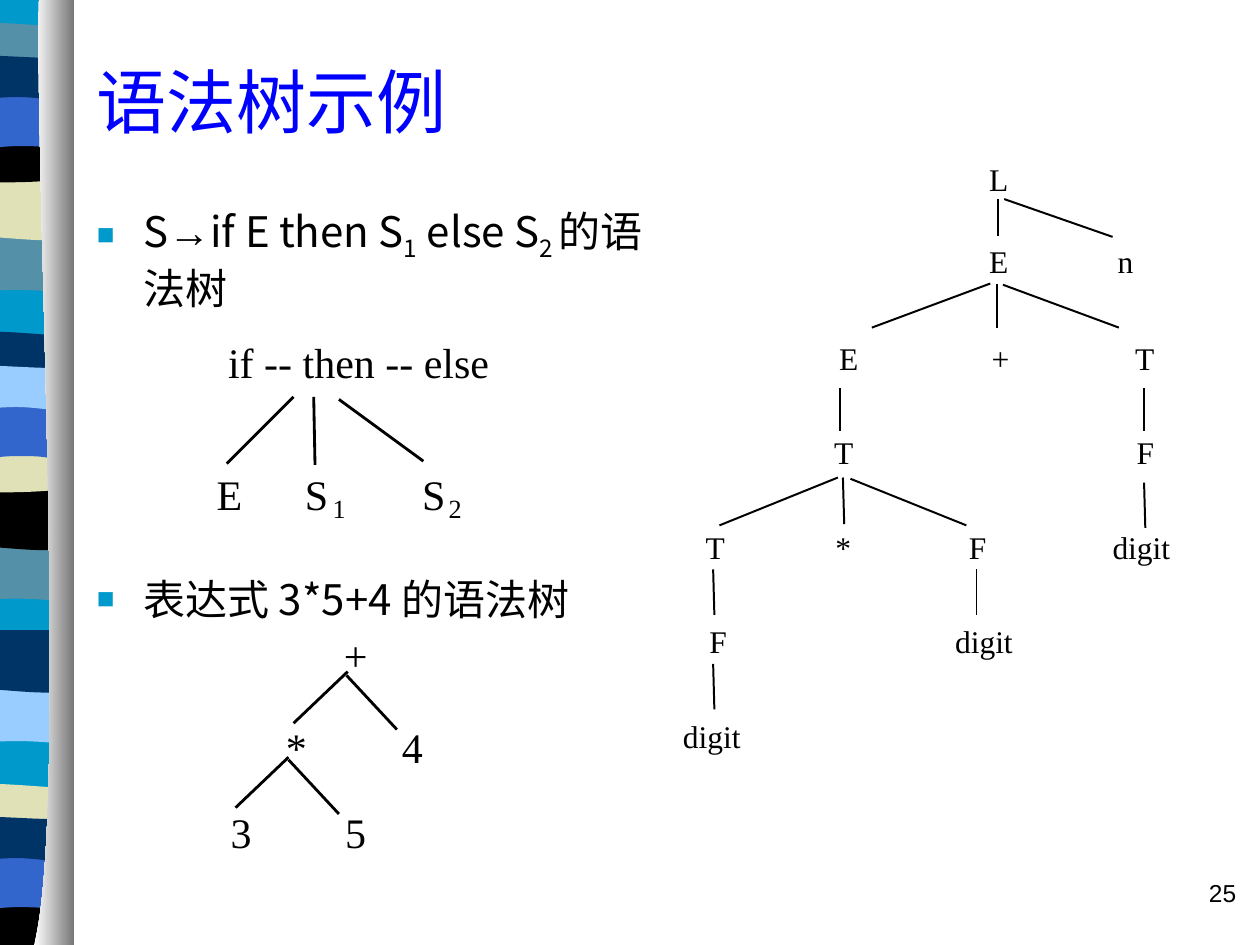
from lxml.etree import SubElement
from pptx import Presentation
from pptx.dml.color import RGBColor
from pptx.enum.shapes import MSO_CONNECTOR as Link
from pptx.enum.text import MSO_ANCHOR as Anchor, PP_ALIGN as Align
from pptx.oxml.ns import qn
from pptx.util import Emu, Pt

PX = 9144  # 100 px to the inch
BLACK = RGBColor(0x00, 0x00, 0x00)
WHITE = RGBColor(0xFF, 0xFF, 0xFF)
GREY = RGBColor(0x76, 0x76, 0x76)
BLUE = RGBColor(0x00, 0x00, 0xFF)
CYAN = RGBColor(0x00, 0x99, 0xCC)
TEAL = RGBColor(0x54, 0x90, 0xA8)
SAND = RGBColor(0xE1, 0xE1, 0xB7)
ROYAL = RGBColor(0x33, 0x66, 0xCC)
NAVY = RGBColor(0x00, 0x33, 0x66)
SKY = RGBColor(0x99, 0xCC, 0xFF)
SERIF, SANS, ARIAL = "Times New Roman", "Noto Sans CJK SC", "Arial"

prs = Presentation()
prs.slide_width, prs.slide_height = Emu(1000 * PX), Emu(750 * PX)
slide = prs.slides.add_slide(prs.slide_layouts[6])
shapes = slide.shapes


def trace(left, top, start, steps):
    """Draw a closed outline; a step of two numbers is a line, of six a Bezier curve."""
    pts = [start] + [s[i:i + 2] for s in steps for i in range(0, len(s), 2)]
    pts = [((left + x) * PX, (top + y) * PX) for x, y in pts]
    pen = shapes.build_freeform(*pts[0], scale=1.0)
    pen.add_line_segments(pts[1:], close=True)
    shape = pen.convert_to_shape()
    shape.shadow.inherit = False
    shape.line.fill.background()
    legs = iter(list(shape._element.iter(qn("a:lnTo"))))
    for step in steps:
        leg = next(legs)
        if len(step) == 6:
            leg.tag = qn("a:cubicBezTo")
            for _ in range(2):
                extra = next(legs)
                leg.append(extra[0])
                extra.getparent().remove(extra)
    return shape


def write(x, y, w, h, runs, size, color=BLACK, align=Align.LEFT, pad=(10, 5)):
    """Add a text box; each run is (text, font, baseline percent)."""
    box = shapes.add_textbox(x * PX, y * PX, w * PX, h * PX)
    frame = box.text_frame
    frame.word_wrap = True
    frame.margin_left = frame.margin_right = pad[0] * PX
    frame.margin_top = frame.margin_bottom = pad[1] * PX
    para = frame.paragraphs[0]
    para.alignment = align
    for text, name, base in runs:
        run = para.add_run()
        run.text = text
        run.font.name, run.font.size = name, Pt(size)
        run.font.color.rgb = color
        props = run._r.get_or_add_rPr()
        SubElement(props, qn("a:ea"), typeface=SANS)
        if base:
            props.set("baseline", str(base * 1000))
    return frame


# Striped ribbon: each kind of band starts at its top right corner
kinds = {
    "base": [(108, 748), (0, 748), (0, 0)],
    "wave": [(108, 47), (33, 38, 18, 54, 0, 47), (0, 0)],
    "dip": [(108, 47), (90, 55, 33, 42, 0, 47), (0, 0)],
    "crest": [(108, 24), (90, 28, 18, 28, 0, 24), (0, 0),
              (7, -5, 23, -4, 41, -4), (59, -4, 94, -1, 108, 0)],
    "sag": [(108, 33), (90, 38, 18, 38, 0, 33), (0, 0), (66, 5, 85, 0, 108, 0)],
    "foot": [(108, 38), (0, 38), (0, 0), (66, 5, 85, 0, 108, 0)],
    "arch": [(108, 47), (91, 41, 84, 41, 66, 41), (48, 41, 16, 47, 0, 47), (0, 0)],
    "roll": [(108, 31), (101, 36, 84, 31, 66, 31), (48, 31, 11, 36, 0, 31), (0, 0),
             (15, -5, 73, 0, 91, 0), (109, 0, 104, 0, 108, 0)],
}
bands = [
    ("base", -52, 0, CYAN),
    ("wave", -52, 186, TEAL), ("dip", -52, 141, SAND), ("crest", -52, 22, TEAL),
    ("sag", -52, 108, BLACK), ("arch", -52, 75, ROYAL), ("roll", -52, 46, NAVY),
    ("wave", -53, 431, TEAL), ("dip", -53, 387, BLACK), ("crest", -53, 267, NAVY),
    ("sag", -53, 354, SAND), ("arch", -53, 321, ROYAL), ("roll", -53, 292, SKY),
    ("wave", -52, 544, SKY), ("dip", -52, 500, NAVY), ("crest", -53, 626, SAND),
    ("foot", -53, 712, BLACK), ("arch", -53, 679, ROYAL), ("roll", -53, 650, NAVY),
]
for kind, left, top, color in bands:
    band = trace(left, top, (108, 0), kinds[kind])
    band.fill.solid()
    band.fill.fore_color.rgb = color

edge = trace(1, 0, (30, 0), [(26, 125, 54, 647, 26, 750), (58, 750), (58, 0)])
edge.fill.gradient()
edge.fill.gradient_angle = 0
for stop, color in zip(edge.fill.gradient_stops, (WHITE, GREY)):
    stop.color.rgb = color

# Title, bullets and page number
title = write(67, 17, 912, 125, [("语法树示例", SERIF, 0)], 40, BLUE)
title.vertical_anchor = Anchor.MIDDLE

rule = [("S", SANS, 0), ("→", ARIAL, 0), ("if E then S", SANS, 0), ("1", SANS, -25),
        (" else S", SANS, 0), ("2 ", SANS, -25), ("的语法树", SANS, 0)]
for y, h, runs in ((158, 100, rule), (450, 75, [("表达式 3*5+4 的语法树", SANS, 0)])):
    para = write(67, y, 467, h, runs, 24).paragraphs[0]
    props = para._p.get_or_add_pPr()
    props.set("marL", str(37 * PX))
    props.set("indent", str(-37 * PX))
    tint = SubElement(props, qn("a:buClr"))
    SubElement(tint, qn("a:srgbClr"), val=str(CYAN))
    SubElement(props, qn("a:buSzPct"), val="70000")
    SubElement(props, qn("a:buFont"), typeface=ARIAL)
    SubElement(props, qn("a:buChar"), char="■")

write(783, 692, 208, 50, [("25", ARIAL, 0)], 14, align=Align.RIGHT)

# Tree labels: type size, box height, then rows of (top, right, (text, left), ...)
trees = [
    (24, 40, [
        (267, 392, ("if -- then -- else", 181)),
        (372, 265, ("E", 172), ("S", 242)),
        (372, 358, ("S", 335)),
        (500, 296, ("+", 273)),
        (573, 340, ("*", 227), ("4", 319)),
        (640, 295, ("3", 183), ("5", 274)),
    ]),
    (15, 25, [(391, 279, ("1", 264)), (391, 371, ("2", 356))]),
    (18, 30, [
        (127, 804, ("L", 785)),
        (192, 904, ("E", 785), ("n", 887)),
        (269, 921, ("E", 666), ("+", 787), ("T", 901)),
        (344, 920, ("T", 662), ("F", 902)),
        (419, 933, ("T", 560), ("*", 663), ("F", 769), ("digit", 883)),
        (494, 808, ("F", 563), ("digit", 758)),
        (569, 592, ("digit", 542)),
    ]),
]
for size, h, rows in trees:
    for top, right, *nodes in rows:
        left = nodes[0][1]
        label = "\t".join(text for text, _ in nodes)
        frame = write(left, top, right - left, h, [(label, SERIF, 0)], size, pad=(0, 0))
        if len(nodes) > 1:
            tabs = SubElement(frame.paragraphs[0]._p.get_or_add_pPr(), qn("a:tabLst"))
            for _, x in nodes[1:]:
                SubElement(tabs, qn("a:tab"), pos=str((x - left) * PX), algn="l")

# Tree branches: line width, then ends
branches = [
    (1.62, [
        (233, 315, 180, 368), (249, 315, 250, 369), (269, 317, 336, 366),
        (276, 533, 233, 574), (275, 536, 315, 579),
        (229, 601, 187, 641), (229, 603, 269, 646),
    ]),
    (1.13, [
        (792, 158, 792, 187), (797, 158, 883, 188),
        (791, 225, 791, 260), (786, 225, 692, 260), (796, 226, 888, 260),
        (667, 308, 667, 342), (908, 308, 908, 342),
        (669, 379, 670, 416), (665, 379, 571, 417), (675, 380, 767, 417),
        (908, 383, 909, 419),
        (566, 452, 567, 488), (775, 452, 775, 488), (566, 527, 567, 563),
    ]),
]
for width, ends in branches:
    for end in ends:
        line = shapes.add_connector(Link.STRAIGHT, *(v * PX for v in end))
        line.line.color.rgb = BLACK
        line.line.width = Pt(width)
        SubElement(line._element.spPr, qn("a:effectLst"))

prs.save("out.pptx")
